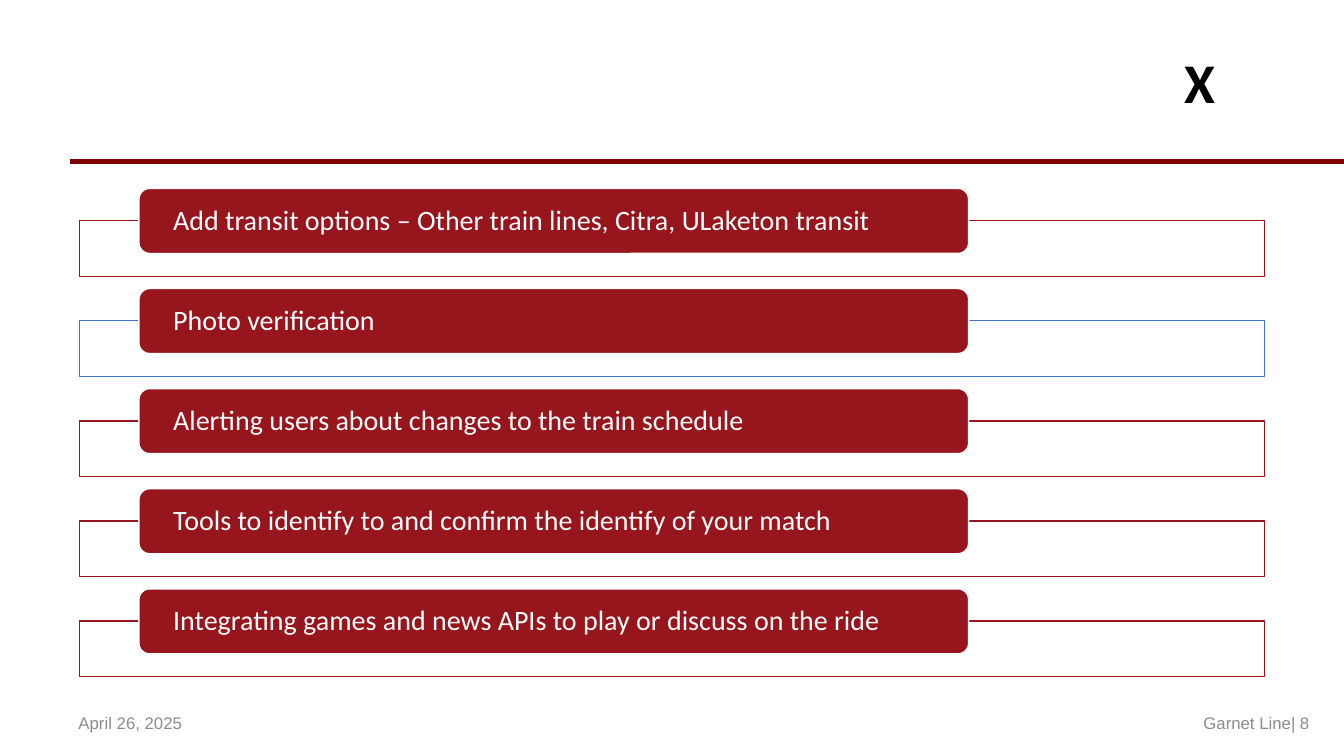
"""Build a slide that lists five planned features as framed bars."""
import lxml.etree
import pptx
import pptx.dml.color
import pptx.enum.shapes
import pptx.enum.text
import pptx.oxml.ns
import pptx.util

Pt = pptx.util.Pt
RGBColor = pptx.dml.color.RGBColor
Shape = pptx.enum.shapes.MSO_SHAPE
Align = pptx.enum.text.PP_ALIGN
Anchor = pptx.enum.text.MSO_ANCHOR
qn = pptx.oxml.ns.qn

MAROON = RGBColor(0x80, 0x00, 0x00)
RED = RGBColor(0x97, 0x15, 0x1C)
BLUE = RGBColor(0x44, 0x72, 0xC4)
WHITE = RGBColor(0xFF, 0xFF, 0xFF)
BLACK = RGBColor(0x00, 0x00, 0x00)
GRAY = RGBColor(0x8C, 0x8C, 0x8C)

ITEMS = [
    ("Add transit options – Other train lines, Citra, ULaketon transit", RED),
    ("Photo verification", BLUE),
    ("Alerting users about changes to the train schedule", RED),
    ("Tools to identify to and confirm the identify of your match", RED),
    ("Integrating games and news APIs to play or discuss on the ride", RED),
]
PITCH = 71.5


def set_text(frame, text, font, size, color, align, bold=False):
    """Fill a text frame with one styled paragraph."""
    frame.text = text
    frame.vertical_anchor = Anchor.MIDDLE
    line = frame.paragraphs[0]
    line.alignment = align
    style = line.runs[0].font
    style.name, style.size, style.bold = font, Pt(size), bold
    style.color.rgb = color


def add_label(slide, box, text, *style, wrap=True, bold=False):
    """Add a text box with one styled line."""
    frame = slide.shapes.add_textbox(*map(Pt, box)).text_frame
    frame.word_wrap = wrap
    set_text(frame, text, *style, bold=bold)


def add_block(slide, kind, box, fill, edge):
    """Add a filled and outlined shape without a shadow."""
    block = slide.shapes.add_shape(kind, *map(Pt, box))
    block.shadow.inherit = False
    block.fill.solid()
    block.fill.fore_color.rgb = fill
    block.line.color.rgb = edge
    block.line.width = Pt(1)
    return block


def add_item(slide, top, text, edge):
    """Add a frame with a rounded bar of text on its upper edge."""
    frame = add_block(slide, Shape.RECTANGLE, (56.7, top + 23, 846.7, 39.7), WHITE, edge)
    tint = frame.fill._xPr.find(qn("a:solidFill"))[0]
    lxml.etree.SubElement(tint, qn("a:alpha")).set("val", "90000")
    bar = add_block(slide, Shape.ROUNDED_RECTANGLE, (99.2, top, 592.7, 46.5), RED, WHITE)
    body = bar.text_frame
    body.word_wrap = True
    body.margin_left = body.margin_right = Pt(22.2)
    body.margin_top = body.margin_bottom = 0
    set_text(body, text, "Calibri", 20, WHITE, Align.LEFT)
    body.paragraphs[0].line_spacing = 0.9


def add_rule(slide):
    """Add the thick line below the header."""
    rule = slide.shapes.add_connector(
        pptx.enum.shapes.MSO_CONNECTOR.STRAIGHT, Pt(49.7), Pt(115.2), Pt(960), Pt(115.2))
    rule.line.color.rgb = MAROON
    rule.line.width = Pt(3.5)
    lxml.etree.SubElement(rule._element.spPr, qn("a:effectLst"))


def main():
    """Build and save the slide."""
    deck = pptx.Presentation()
    deck.slide_width, deck.slide_height = Pt(960), Pt(540)
    slide = deck.slides.add_slide(deck.slide_layouts[6])
    add_rule(slide)
    add_label(slide, (838.8, 44.6, 23, 26.6), "X", "Calibri", 40, BLACK,
              Align.CENTER, wrap=False, bold=True)
    add_label(slide, (49, 502, 111, 28.8), "April 26, 2025", "Arial", 12, GRAY, Align.LEFT)
    add_label(slide, (726.5, 502, 216, 28.8), "Garnet Line| 8", "Arial", 12, GRAY, Align.RIGHT)
    for row, (text, edge) in enumerate(ITEMS):
        add_item(slide, 134.6 + row * PITCH, text, edge)
    deck.save("out.pptx")


if __name__ == "__main__":
    main()
